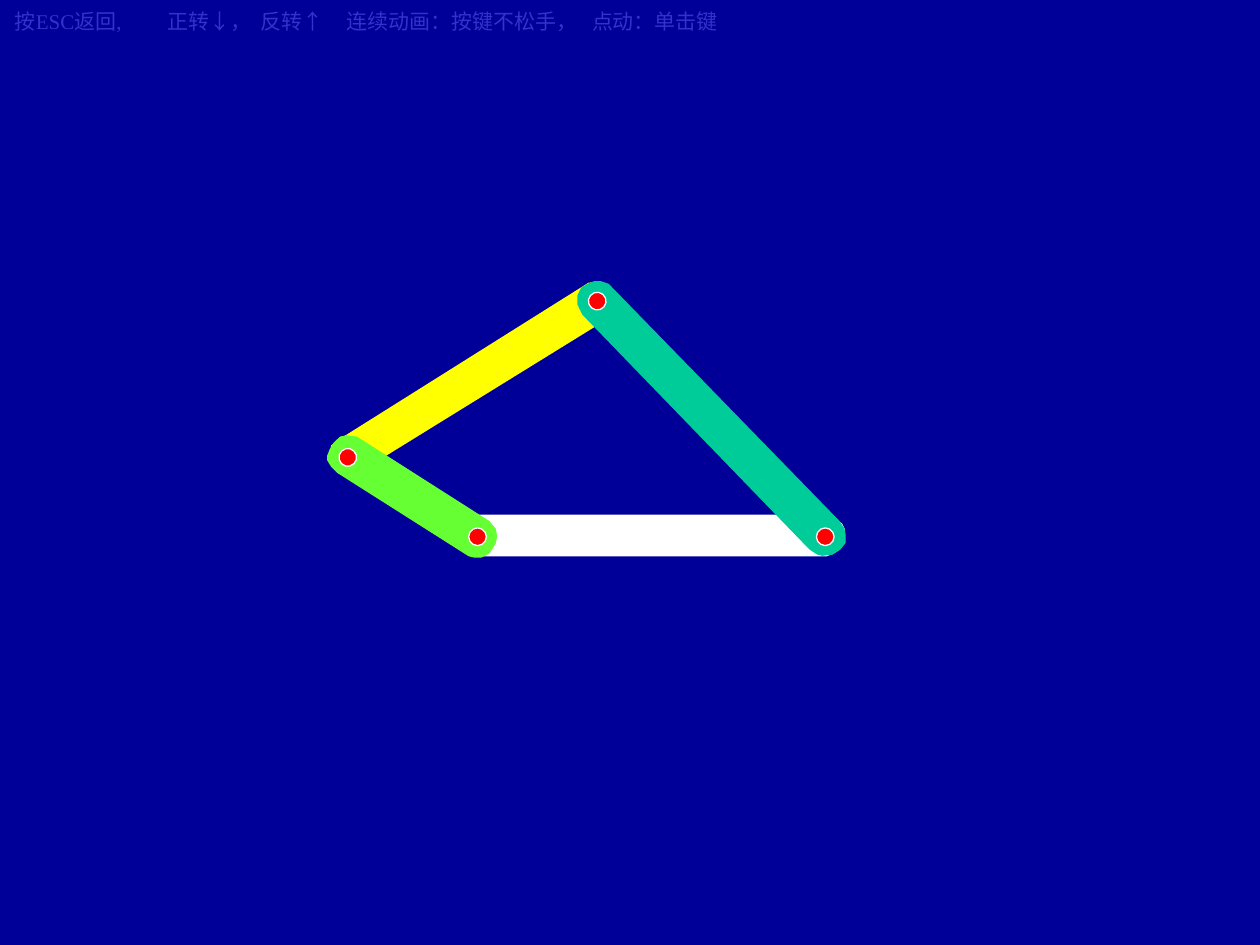
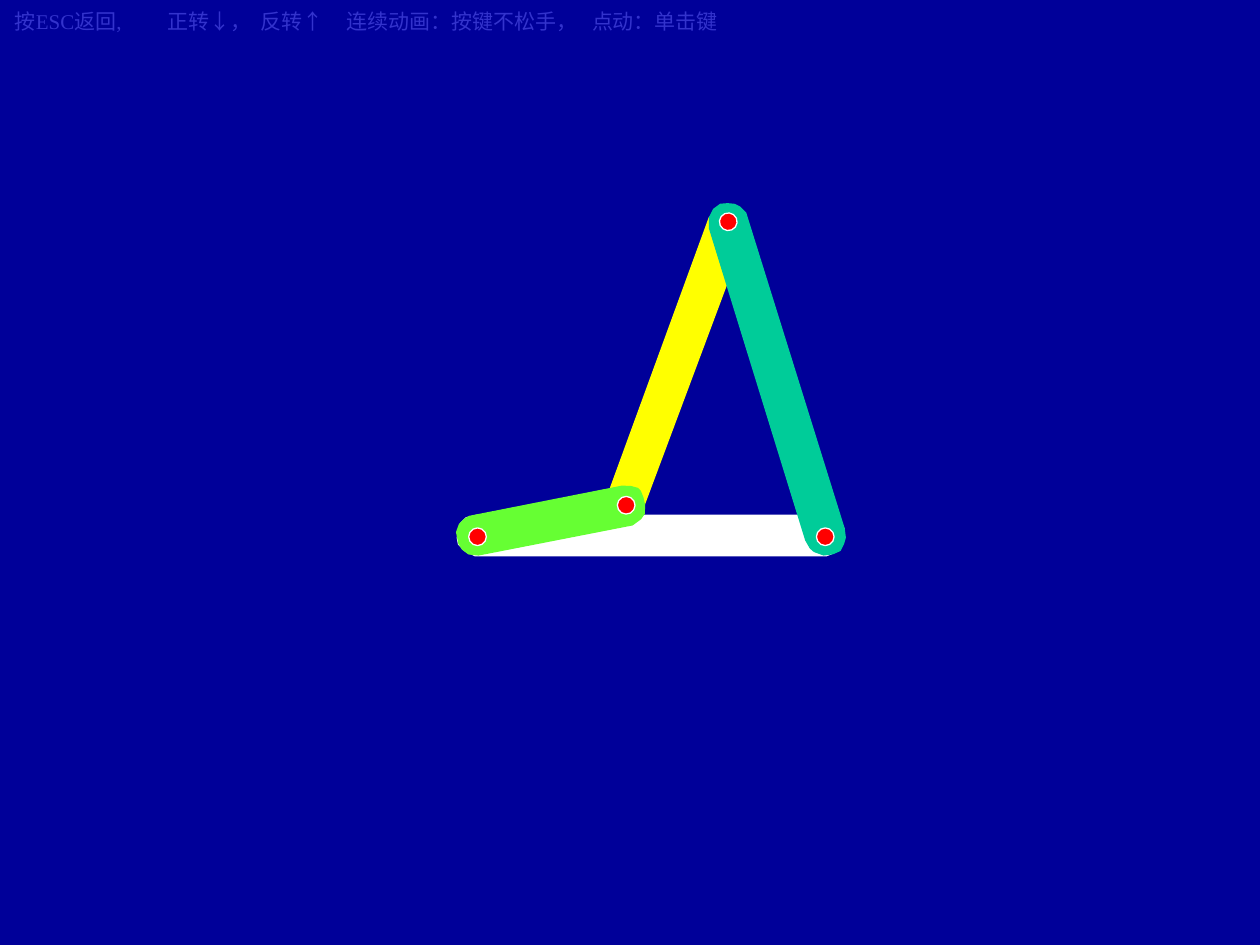
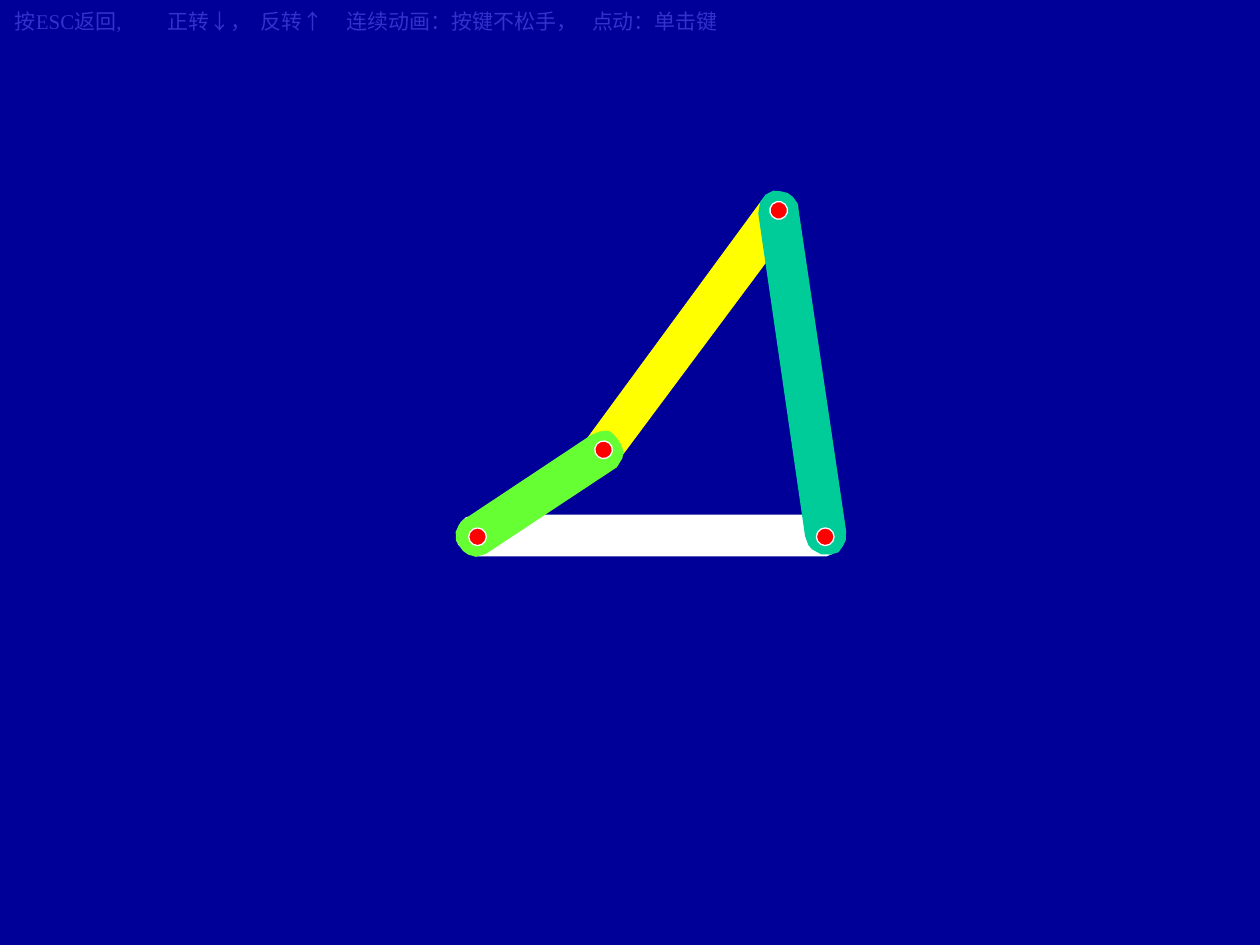
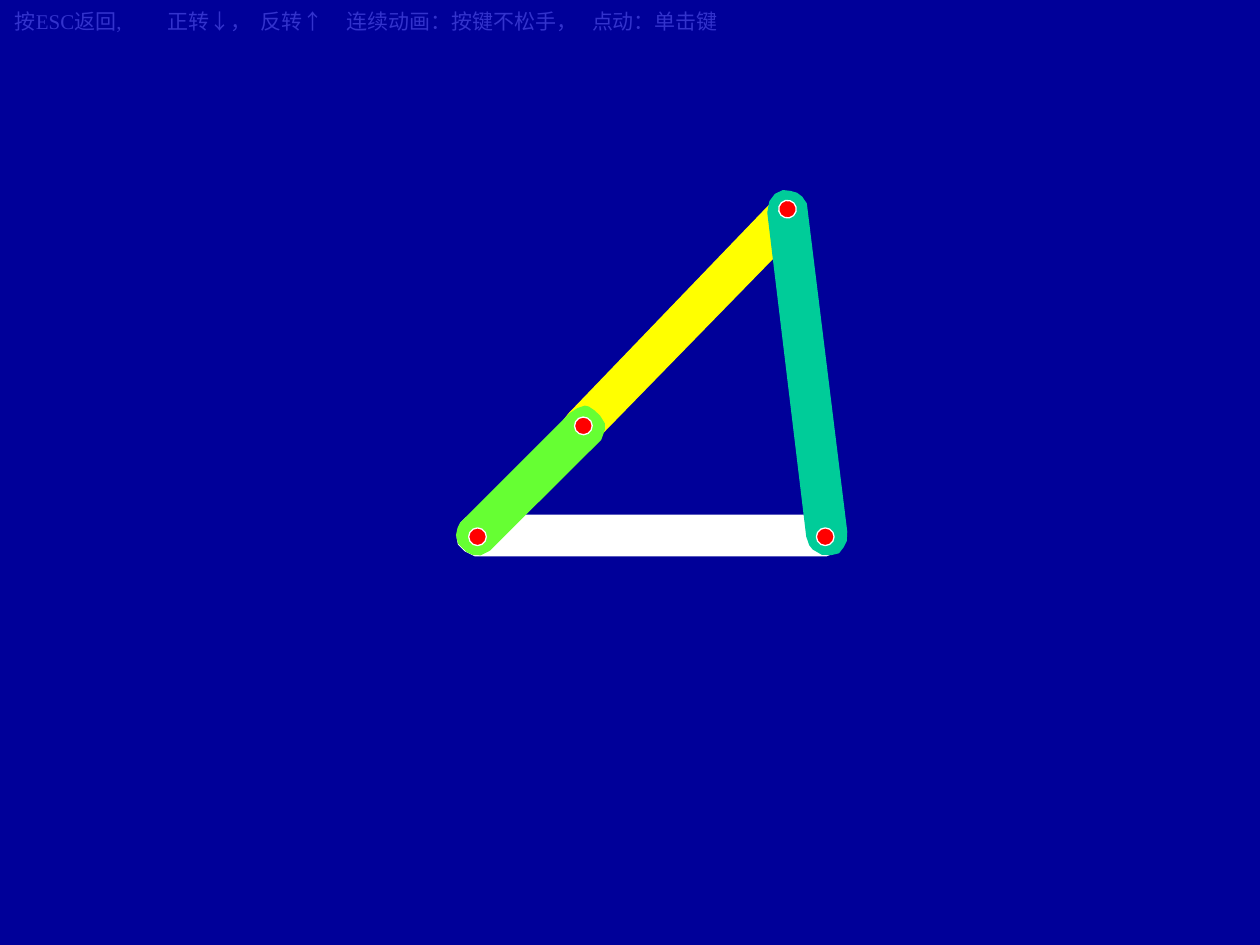
from math import cos, radians, sin
from lxml.etree import SubElement
from pptx import Presentation
from pptx.dml.color import RGBColor
from pptx.enum.shapes import MSO_SHAPE
from pptx.enum.text import MSO_AUTO_SIZE
from pptx.oxml.ns import qn
from pptx.util import Emu, Pt

PX = 9144  # 100 px to the inch
NAVY = RGBColor(0x00, 0x00, 0x99)
BLUE = RGBColor(0x33, 0x33, 0xCC)
WHITE = RGBColor(0xFF, 0xFF, 0xFF)
YELLOW = RGBColor(0xFF, 0xFF, 0x00)
GREEN = RGBColor(0x66, 0xFF, 0x33)
TEAL = RGBColor(0x00, 0xCC, 0x99)
RED = RGBColor(0xFF, 0x00, 0x00)

HINTS = ["按ESC返回,", "正转↓，", "反转↑", "连续动画：按键不松手，", "点动：单击键"]
TABS = [121, 195, 263, 458]
PIN = 14
PIVOTS = [(648, 419), (372, 419)]

# Each link: colour, angle at which its outline is drawn, outline
GROUND = (WHITE, 0, [
    (378, 409), (654, 409), (659, 411), (663, 412), (668, 416), (670, 420),
    (670, 426), (668, 432), (666, 436), (661, 439), (656, 441), (377, 441),
    (369, 437), (364, 432), (363, 427), (364, 420), (366, 415), (370, 411)])
COUPLER = (YELLOW, 358.8, [
    (269, 350), (468, 225), (476, 224), (480, 225), (486, 229), (489, 232),
    (491, 240), (488, 247), (484, 252), (285, 375), (280, 377), (275, 376),
    (269, 375), (264, 369), (263, 362), (264, 354)])
CRANK = (GREEN, 315.2, [
    (372, 441), (268, 375), (263, 370), (260, 365), (260, 362), (262, 357),
    (265, 352), (270, 347), (275, 346), (283, 347), (388, 414), (393, 420),
    (394, 426), (393, 431), (388, 439), (382, 442), (376, 442)])
ROCKER = (TEAL, 339.6, [
    (643, 436), (463, 250), (461, 246), (459, 242), (459, 235), (462, 229),
    (467, 226), (472, 224), (477, 224), (483, 226), (666, 414), (670, 420),
    (671, 425), (671, 431), (667, 436), (661, 440), (653, 441), (649, 440)])

# Each slide: left, top and angle of the links, then the two moving pins
POSES = [
    {"coupler": (261, 226, 358.8), "crank": (299, 320, 315.2),
     "rocker": (497, 198, 339.6), "pins": [(269, 356), (467, 232)]},
    {"coupler": (422, 214, 321), "crank": (408, 339, 91.6),
     "rocker": (549, 167, 6.5), "pins": [(490, 394), (571, 169)]},
    {"coupler": (434, 187, 337.2), "crank": (399, 318, 69.2),
     "rocker": (569, 162, 15.4), "pins": [(472, 350), (611, 160)]},
    {"coupler": (429, 180, 344.8), "crank": (392, 308, 57.8),
     "rocker": (573, 162, 16.8), "pins": [(456, 331), (618, 159)]},
]


def paint(shape, fill, line):
    shape.shadow.inherit = False
    shape.fill.solid()
    shape.fill.fore_color.rgb = fill
    shape.line.color.rgb = line
    shape.line.width = Pt(0.75)


def add_link(slide, link, place):
    """Turn the outline back to angle 0, then set it at its place and angle."""
    color, drawn, outline = link
    left, top, angle = place
    c, s = cos(radians(drawn)) * PX, sin(radians(drawn)) * PX
    points = [(x * c + y * s, y * c - x * s) for x, y in outline]
    pen = slide.shapes.build_freeform(*points[0])
    pen.add_line_segments(points[1:], close=True)
    shape = pen.convert_to_shape()
    shape.left, shape.top = Emu(left * PX), Emu(top * PX)
    shape.rotation = angle
    paint(shape, color, color)


def add_pin(slide, spot, angle=0):
    x, y = spot
    pin = slide.shapes.add_shape(MSO_SHAPE.OVAL, x * PX, y * PX, PIN * PX, PIN * PX)
    pin.rotation = angle
    paint(pin, RED, WHITE)


def add_hint(slide):
    box = slide.shapes.add_textbox(2 * PX, 2 * PX, 649 * PX, 30 * PX)
    frame = box.text_frame
    frame.word_wrap = True
    frame.auto_size = MSO_AUTO_SIZE.SHAPE_TO_FIT_TEXT
    para = frame.paragraphs[0]
    para.text = "\t".join(HINTS)
    stops = SubElement(para._p.get_or_add_pPr(), qn("a:tabLst"))
    for tab in TABS:
        SubElement(stops, qn("a:tab"), pos=str(tab * PX), algn="l")
    para.font.name = "Times New Roman"
    para.font.size = Pt(12)
    para.font.color.rgb = BLUE


def add_pose(slide, pose):
    joint, tip = pose["pins"]
    add_link(slide, GROUND, (363, 409, 0))
    add_link(slide, COUPLER, pose["coupler"])
    add_link(slide, CRANK, pose["crank"])
    add_pin(slide, joint, pose["crank"][2])
    add_link(slide, ROCKER, pose["rocker"])
    add_pin(slide, tip, pose["rocker"][2])
    for spot in PIVOTS:
        add_pin(slide, spot)
    add_hint(slide)


def main():
    deck = Presentation()
    deck.slide_width, deck.slide_height = Emu(1000 * PX), Emu(750 * PX)
    back = deck.slide_master.background.fill
    back.solid()
    back.fore_color.rgb = NAVY
    for pose in POSES:
        add_pose(deck.slides.add_slide(deck.slide_layouts[6]), pose)
    deck.save("out.pptx")


if __name__ == "__main__":
    main()
